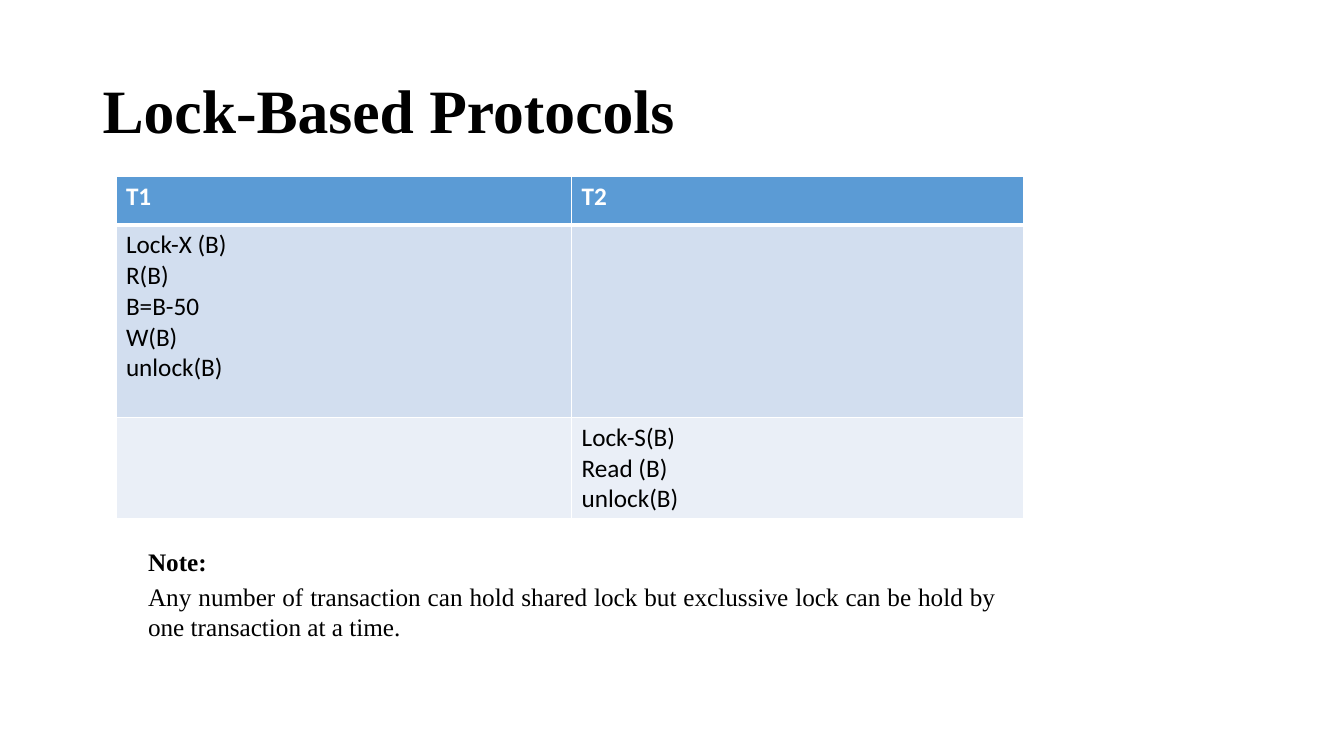
from lxml import etree
from pptx import Presentation
from pptx.dml.color import RGBColor
from pptx.enum.text import MSO_ANCHOR, PP_ALIGN
from pptx.oxml.ns import qn
from pptx.util import Inches, Pt

MIDDLE, TOP = MSO_ANCHOR.MIDDLE, MSO_ANCHOR.TOP
LEFT, JUSTIFY = PP_ALIGN.LEFT, PP_ALIGN.JUSTIFY
SERIF, SANS = "Times New Roman", "Calibri"
BLACK, WHITE = "000000", "FFFFFF"

TITLE = "Lock-Based Protocols"
ROWS = [
    (["T1"], ["T2"]),
    (["Lock-X (B)", "R(B)", "B=B-50", "W(B)", "unlock(B)"], []),
    ([], ["Lock-S(B)", "Read (B)", "unlock(B)"]),
]
FILLS = ["5B9BD5", "D2DEEF", "EAEFF7"]
WIDTHS = [4.52, 4.48]
HEIGHTS = [0.48, 1.91, 1.01]
NOTE = [
    ("Note:", True),
    ("Any number of transaction can hold shared lock but exclussive lock "
     "can be hold by one transaction at a time.", False),
]


def color(text):
    return RGBColor.from_string(text)


def write(frame, lines, size, face, ink=BLACK, align=LEFT, gap=0, lead=1.0):
    """Fill a frame with one paragraph per (text, bold) pair."""
    frame.word_wrap = True
    for i, (text, bold) in enumerate(lines):
        para = frame.add_paragraph() if i else frame.paragraphs[0]
        para.alignment = align
        para.line_spacing = lead
        if i:
            para.space_before = Pt(gap)
        run = para.add_run()
        run.text = text
        font = run.font
        font.size, font.name, font.bold = Pt(size), face, bold
        font.color.rgb = color(ink)


def add_text(slide, place, lines, size, anchor=TOP, **style):
    box = slide.shapes.add_textbox(*map(Inches, place))
    box.text_frame.vertical_anchor = anchor
    write(box.text_frame, lines, size, SERIF, **style)


def edge(cell, **widths):
    """Draw white cell borders; widths in points, keyed L, R, T, B."""
    props = cell._tc.get_or_add_tcPr()
    for i, (side, width) in enumerate(widths.items()):
        line = etree.Element(qn(f"a:ln{side}"), w=str(Pt(width)))
        fill = etree.SubElement(line, qn("a:solidFill"))
        etree.SubElement(fill, qn("a:srgbClr"), val=WHITE)
        props.insert(i, line)


def add_locks(slide):
    place = (1.15, 1.75, sum(WIDTHS), sum(HEIGHTS))
    table = slide.shapes.add_table(
        len(ROWS), len(WIDTHS), *map(Inches, place)).table
    for col, width in zip(table.columns, WIDTHS):
        col.width = Inches(width)
    for r, (row, height) in enumerate(zip(ROWS, HEIGHTS)):
        table.rows[r].height = Inches(height)
        head = r == 0
        for c, lines in enumerate(row):
            cell = table.cell(r, c)
            cell.fill.solid()
            cell.fill.fore_color.rgb = color(FILLS[r])
            edge(cell, L=1, R=1, T=3 if r == 1 else 1, B=3 if head else 1)
            write(cell.text_frame, [(line, head) for line in lines],
                  18, SANS, ink=WHITE if head else BLACK)


def main():
    deck = Presentation()
    deck.slide_width, deck.slide_height = Inches(13.33), Inches(7.5)
    slide = deck.slides.add_slide(deck.slide_layouts[6])
    add_text(slide, (0.92, 0.4, 11.5, 1.45), [(TITLE, True)], 44,
             anchor=MIDDLE, lead=0.9)
    add_locks(slide)
    add_text(slide, (1.37, 5.37, 8.61, 1.07), NOTE, 18,
             align=JUSTIFY, gap=3.6)
    deck.save("out.pptx")


if __name__ == "__main__":
    main()
